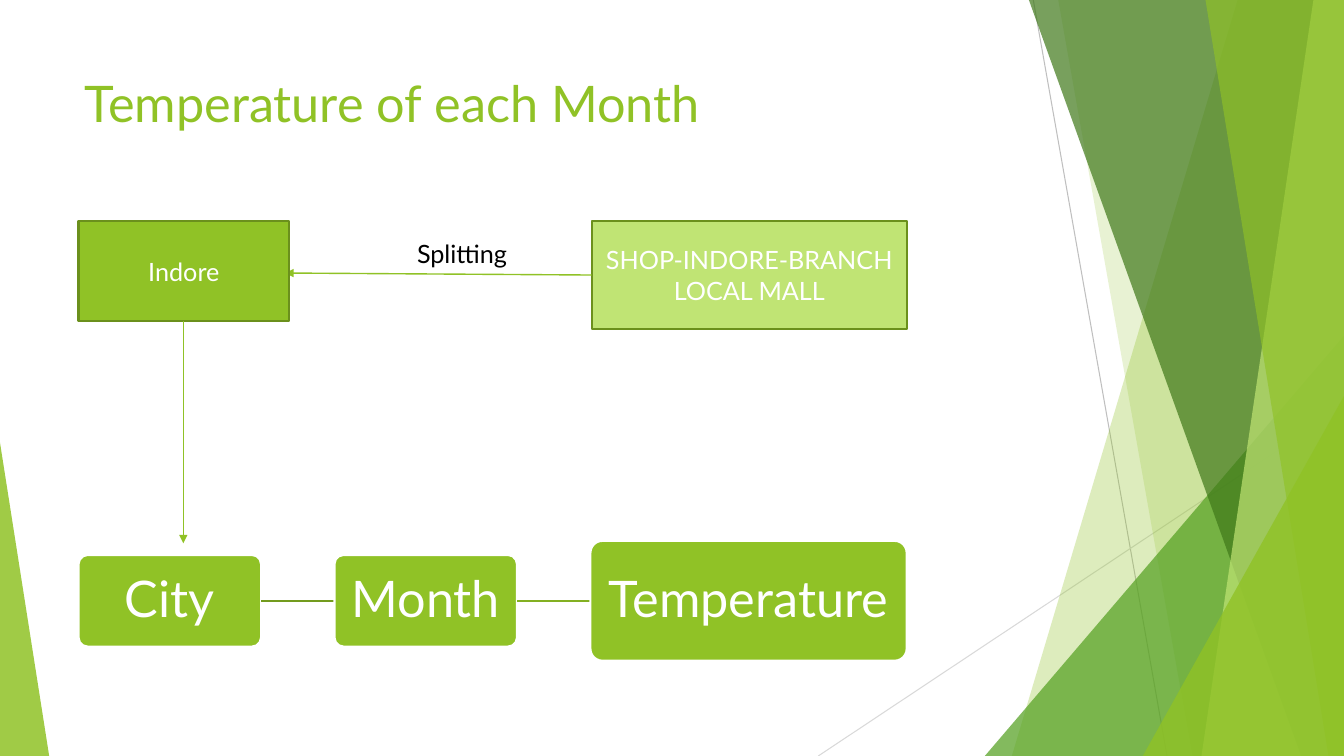
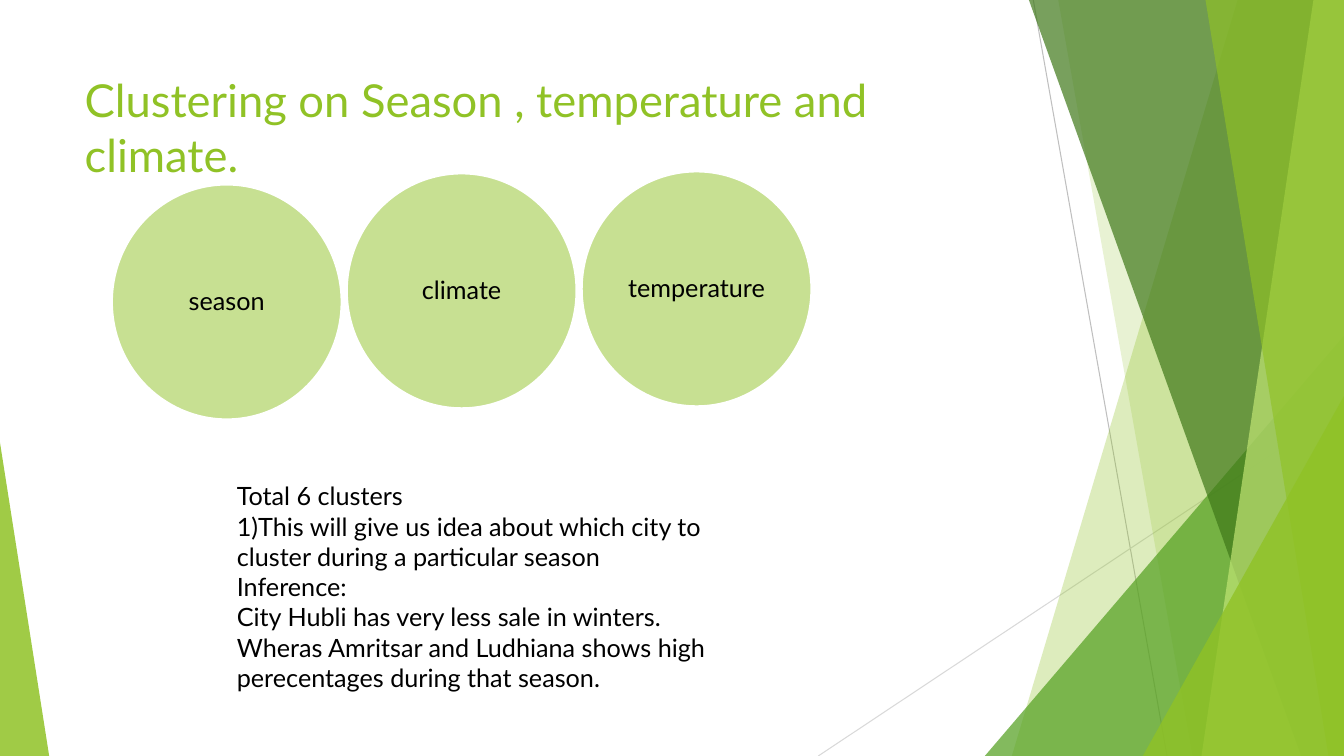
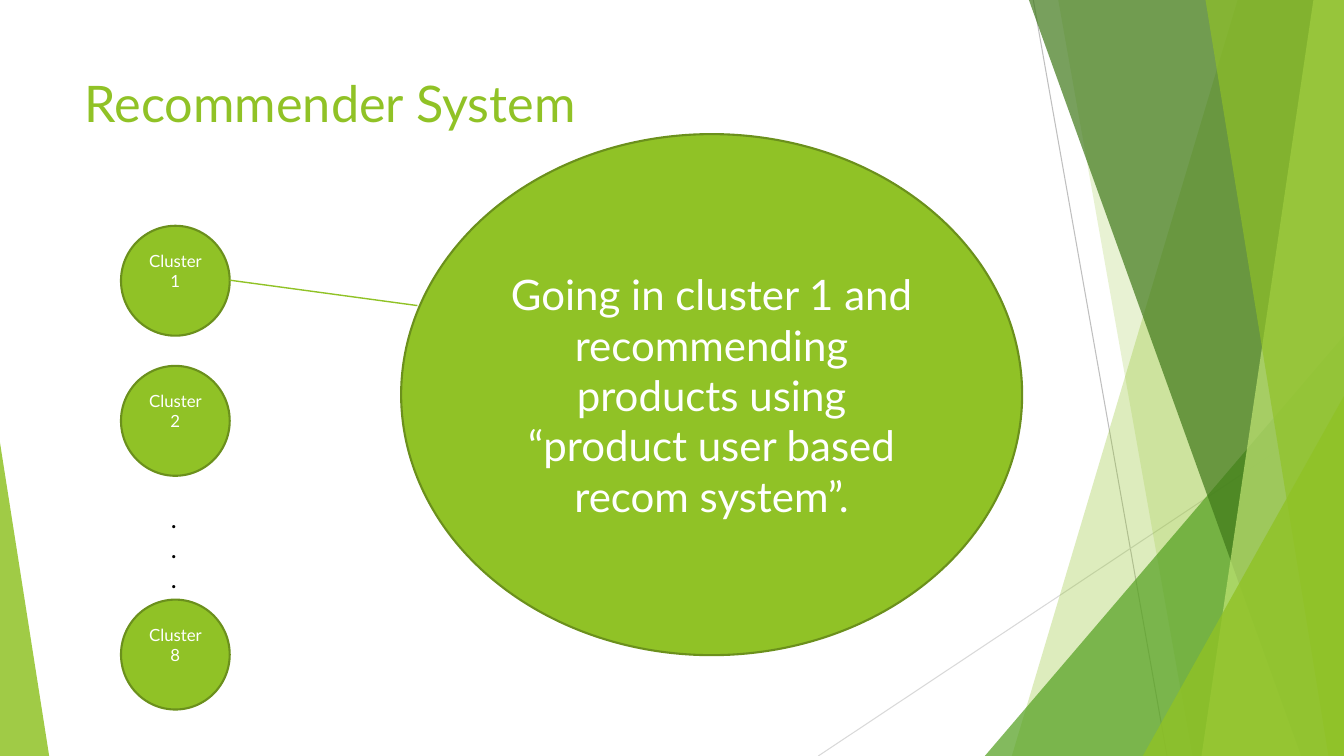
from lxml.etree import SubElement
from pptx import Presentation
from pptx.dml.color import RGBColor
from pptx.enum.shapes import MSO_CONNECTOR, MSO_SHAPE
from pptx.enum.text import MSO_ANCHOR, MSO_AUTO_SIZE, PP_ALIGN
from pptx.oxml.ns import qn
from pptx.util import Cm, Pt

SLIDE_WIDTH, SLIDE_HEIGHT = 33.87, 19.05
FONT = "Lato"
COLORS = {
    "lime": "90C226",
    "pale": "C0E474",
    "leaf": "54A021",
    "forest": "3F7819",
    "outline": "6B901C",
    "first_link": "739B1E",
    "second_link": "83B022",
    "gray": "BFBFBF",
    "light_gray": "D9D9D9",
    "white": "FFFFFF",
    "black": "000000",
}


def rgb(color):
    return RGBColor.from_string(COLORS[color])


def set_values(target, values):
    for name, value in values.items():
        setattr(target, name, value)


def write_text(shape, paragraphs, size, color, align=PP_ALIGN.LEFT,
               anchor=MSO_ANCHOR.TOP, spacing=None, margins=None):
    frame = shape.text_frame
    set_values(frame, {
        "word_wrap": True,
        "auto_size": MSO_AUTO_SIZE.NONE,
        "vertical_anchor": anchor,
        **{f"margin_{side}": Cm(length) for side, length in (margins or {}).items()},
    })
    for index, wording in enumerate(paragraphs):
        paragraph = frame.add_paragraph() if index else frame.paragraphs[0]
        set_values(paragraph, {"alignment": align, "line_spacing": spacing})
        run = paragraph.add_run()
        run.text = wording
        set_values(run.font, {"name": FONT, "size": Pt(size)})
        run.font.color.rgb = rgb(color)


def paint(shape, color, opacity=100, outline=None):
    shape.shadow.inherit = False
    shape.fill.solid()
    shape.fill.fore_color.rgb = rgb(color)
    if opacity < 100:
        tint = shape.element.spPr.find(qn("a:solidFill"))[0]
        SubElement(tint, qn("a:alpha"), val=str(opacity * 1000))
    if outline:
        shape.line.color.rgb = rgb(outline)
        shape.line.width = Pt(1.5)
    else:
        shape.line.fill.background()
    return shape


def add_line(slide, start, end, color, width=1, arrow=False):
    line = slide.shapes.add_connector(
        MSO_CONNECTOR.STRAIGHT, *(Cm(length) for length in (*start, *end)))
    line.line.color.rgb = rgb(color)
    line.line.width = Pt(width)
    properties = line.element.spPr
    if arrow:
        SubElement(properties.find(qn("a:ln")), qn("a:tailEnd"), type="triangle")
    SubElement(properties, qn("a:effectLst"))
    return line


def add_band(slide, top_x, bottom_x, color, opacity):
    outline = slide.shapes.build_freeform(Cm(top_x), 0)
    corners = [(SLIDE_WIDTH, 0), (SLIDE_WIDTH, SLIDE_HEIGHT), (bottom_x, SLIDE_HEIGHT)]
    outline.add_line_segments([(Cm(x), Cm(y)) for x, y in corners], close=True)
    return paint(outline.convert_to_shape(), color, opacity)


def add_wedge(slide, left, width, height, apex, color, opacity):
    wedge = slide.shapes.add_shape(
        MSO_SHAPE.ISOSCELES_TRIANGLE,
        Cm(left), Cm(SLIDE_HEIGHT - height), Cm(width), Cm(height))
    wedge.adjustments[0] = apex
    return paint(wedge, color, opacity)


def add_node(slide, kind, box, wording, size, fill="lime", opacity=100,
             outline="outline", color="white", **text_format):
    node = slide.shapes.add_shape(kind, *(Cm(length) for length in box))
    paint(node, fill, opacity, outline)
    write_text(node, [wording], size, color, PP_ALIGN.CENTER,
               MSO_ANCHOR.MIDDLE, **text_format)
    return node


def add_note(slide, box, paragraphs):
    note = slide.shapes.add_textbox(*(Cm(length) for length in box))
    write_text(note, paragraphs, 18, "black")


def add_titled_slide(deck, layout, title, size=36):
    slide = deck.slides.add_slide(layout)
    heading = slide.shapes.title
    set_values(heading, {"left": Cm(1.88), "top": Cm(1.7),
                         "width": Cm(23.88), "height": Cm(3.66)})
    write_text(heading, [title], size, "lime")
    return slide


def decorate_layout(layout, slide):
    facets = [
        add_line(slide, (26.04, 0), (29.41, SLIDE_HEIGHT), "gray", 0.75),
        add_line(slide, (SLIDE_WIDTH, 10.24), (20.62, SLIDE_HEIGHT), "light_gray", 0.75),
        add_band(slide, 31.19, 25.5, "lime", 30),
        add_band(slide, 26.67, 30.05, "lime", 20),
        add_wedge(slide, 24.82, 9.05, 10.59, 1, "leaf", 72),
        add_band(slide, 25.93, 32.79, "forest", 70),
        add_band(slide, 33.1, 30.28, "pale", 70),
        add_band(slide, 30.38, 33.48, "lime", 65),
        add_wedge(slide, 28.8, 5.07, 9.07, 1, "lime", 80),
        add_wedge(slide, 0, 1.24, 7.9, 0, "lime", 85),
    ]
    for number, facet in enumerate(facets, 100):
        facet.element.xpath(".//p:cNvPr")[0].set("id", str(number))
        layout.shapes.element.append(facet.element)


def fill_temperature_slide(slide):
    left, middle, gap = 1.98, 15.14, 1.85
    steps = [("City", 4.6, 2.31, "first_link"),
             ("Month", 4.6, 2.31, "second_link"),
             ("Temperature", 7.97, 3.02, None)]
    margins = dict.fromkeys(("left", "top", "right", "bottom"), 0.1)
    for wording, width, height, link in steps:
        step = add_node(slide, MSO_SHAPE.ROUNDED_RECTANGLE,
                        (left, middle - height / 2, width, height), wording, 36,
                        outline="white", spacing=0.9, margins=margins)
        step.adjustments[0] = 0.1
        if link:
            add_line(slide, (left + width, middle), (left + width + gap, middle), link, 1.5)
        left += width + gap
    add_node(slide, MSO_SHAPE.RECTANGLE, (14.91, 5.56, 7.95, 2.74),
             "SHOP-INDORE-BRANCH LOCAL MALL", 18, fill="pale")
    add_line(slide, (14.91, 6.93), (7.19, 6.88), "lime", arrow=True)
    add_node(slide, MSO_SHAPE.RECTANGLE, (1.98, 5.56, 5.31, 2.54), "Indore", 18)
    add_line(slide, (4.62, 8.1), (4.62, 13.69), "lime", arrow=True)
    add_note(slide, (10.26, 5.89, 2.92, 1.02), ["Splitting"])


def fill_clustering_slide(slide):
    margins = dict.fromkeys(("left", "top", "right", "bottom"), 0.18)
    factors = [("season", 4.65), ("climate", 4.37), ("temperature", 4.32)]
    for index, (wording, top) in enumerate(factors):
        add_node(slide, MSO_SHAPE.OVAL, (2.82 + 5.92 * index, top, 5.79, 5.92),
                 wording, 18, opacity=50, outline="white", color="black",
                 spacing=0.9, margins=margins)
    add_note(slide, (5.72, 11.99, 13.13, 5.64), [
        "Total 6 clusters",
        "1)This will give us idea about which city to cluster during a particular season",
        "Inference:",
        "City Hubli has very less sale in winters.",
        "Wheras Amritsar and Ludhiana shows high perecentages during that season.",
    ])


def fill_recommender_slide(slide):
    for number, top in ((1, 5.69), (2, 9.22), (8, 15.11)):
        add_node(slide, MSO_SHAPE.OVAL, (3.05, top, 2.74, 2.77),
                 f"Cluster {number}", 12, margins={"bottom": 0.63})
    add_note(slide, (4.06, 12.55, 0.74, 2.57), ["."] * 3)
    add_line(slide, (5.79, 7.06), (10.52, 7.7), "lime")
    add_node(slide, MSO_SHAPE.OVAL, (10.11, 3.38, 15.65, 13.13),
             "Going in cluster 1 and recommending products using "
             "“product user based recom system”.", 30)


def main():
    deck = Presentation()
    set_values(deck, {"slide_width": Cm(SLIDE_WIDTH), "slide_height": Cm(SLIDE_HEIGHT)})
    layout = deck.slide_layouts[5]
    temperature = add_titled_slide(deck, layout, "Temperature of each Month")
    decorate_layout(layout, temperature)
    fill_temperature_slide(temperature)
    fill_clustering_slide(add_titled_slide(
        deck, layout, "Clustering on Season , temperature and climate.", 32.4))
    fill_recommender_slide(add_titled_slide(deck, layout, "Recommender System"))
    deck.save("out.pptx")


if __name__ == "__main__":
    main()
